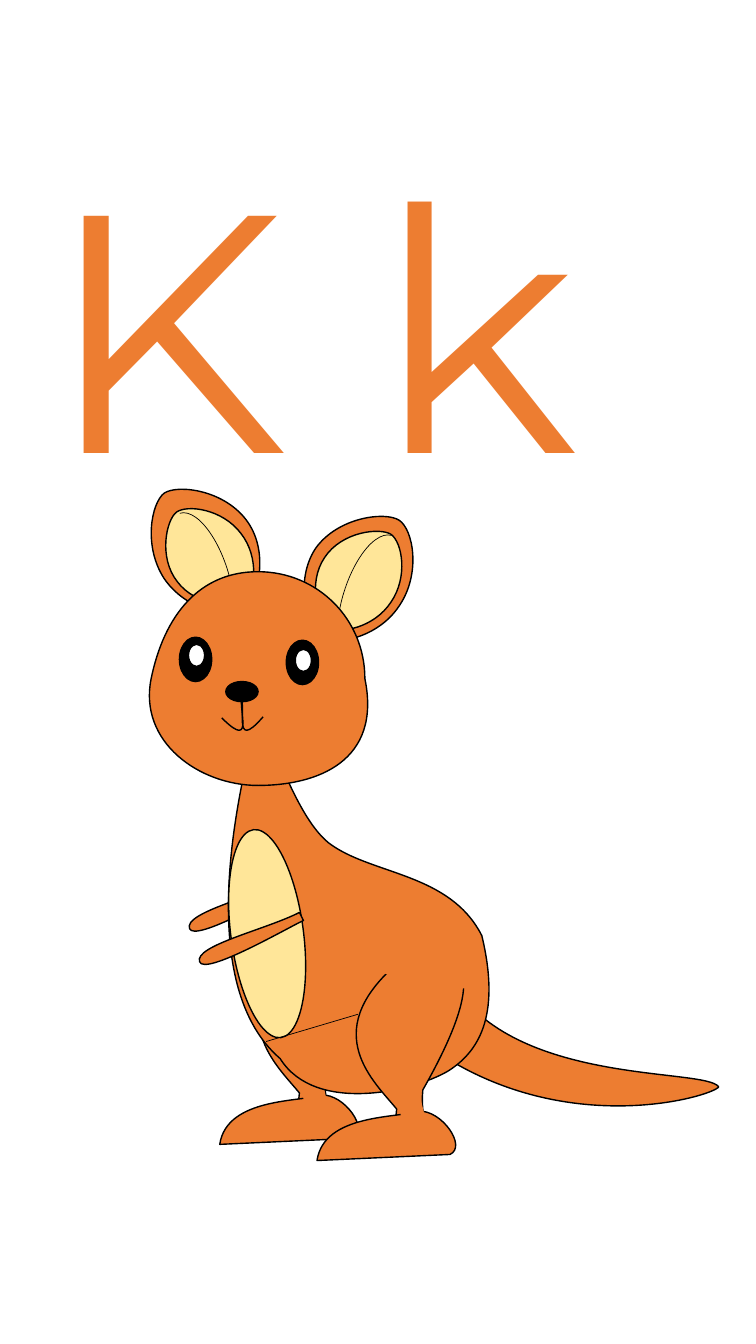
from dataclasses import dataclass
from math import cos, radians, sin

from lxml.etree import SubElement
from pptx import Presentation
from pptx.dml.color import RGBColor
from pptx.enum.shapes import MSO_CONNECTOR, MSO_SHAPE
from pptx.enum.text import MSO_AUTO_SIZE
from pptx.oxml.ns import qn
from pptx.util import Inches, Pt

ORANGE, CREAM, BLACK, WHITE = "ED7D31", "FFE699", "000000", "FFFFFF"
CURVE_STEPS = 40

RIGHT_EAR = [(296, 201), (318, 169, 310, 125, 296, 116), (282, 107, 235, 113, 213, 144),
             (192, 176, 204, 222, 218, 232), (232, 241, 275, 233, 296, 201)]
RIGHT_INNER_EAR = [(288, 197), (305, 172, 299, 138, 288, 130), (277, 123, 239, 127, 222, 153),
                   (205, 178, 215, 214, 226, 222), (237, 229, 271, 223, 288, 197)]
LEFT_EAR = [(63, 174), (42, 142, 50, 99, 63, 89), (77, 80, 124, 86, 146, 118),
            (168, 150, 155, 196, 141, 205), (128, 214, 85, 206, 63, 174)]
LEFT_INNER_EAR = [(139, 129), (121, 105, 86, 100, 75, 108), (65, 116, 57, 153, 76, 177),
                  (94, 201, 132, 204, 142, 196), (153, 188, 158, 153, 139, 129)]
HEAD = [(50, 273), (63, 210, 98, 167, 156, 167), (215, 167, 262, 214, 262, 273),
        (279, 355, 215, 379, 156, 379), (98, 379, 37, 336, 50, 273)]
MOUTH_RIGHT = [(138, 290), (146, 297, 129, 348, 161, 311)]
MOUTH_LEFT = [(141, 289), (134, 297, 155, 347, 120, 312)]
ARM = [(187, 472), (191, 480), (174, 488, 93, 535, 88, 521), (82, 505, 154, 489, 187, 472)]
TAIL = [(352, 580), (418, 677, 600, 659, 613, 678), (608, 687, 455, 734, 320, 634), (352, 580)]
BODY = [(345, 662), (312, 682, 213, 706, 178, 650), (86, 571, 144, 360, 152, 324),
        (160, 288, 185, 403, 226, 436), (268, 468, 346, 465, 378, 528),
        (396, 603, 378, 641, 345, 662)]
HIP_PATCH = [(379, 538), (285, 530, 291, 556, 277, 561), (274, 568, 345, 584, 362, 580),
             (379, 538)]
LEG = [(195, 542), (241, 532), (277, 538, 269, 584, 223, 665), (220, 695, 232, 708, 224, 718),
       (221, 714, 197, 729, 193, 725), (197, 684), (175, 657, 120, 609, 195, 542)]
FOOT = [(118, 735), (125, 688, 200, 693, 219, 686), (242, 685, 267, 721, 250, 729), (118, 735)]
ANKLE_PATCH = [(217, 662), (193, 673, 203, 694, 202, 701), (203, 707, 224, 708, 227, 702),
               (217, 662)]


def color(hex_code):
    """Turn a hex string into a colour."""
    return RGBColor.from_string(hex_code)


def turn(x, y, angle):
    """Turn a point clockwise about the grid's corner."""
    c, s = cos(radians(angle)), sin(radians(angle))
    return x * c - y * s, x * s + y * c


def curve_bounds(segments):
    """Measure the box that the drawn line fills."""
    points = list(segments[0])
    for segment in segments[1:]:
        if len(segment) == 1:
            points += segment
            continue
        curve = (points[-1], *segment)
        for step in range(1, CURVE_STEPS + 1):
            t = step / CURVE_STEPS
            weights = ((1 - t) ** 3, 3 * t * (1 - t) ** 2, 3 * t * t * (1 - t), t ** 3)
            points.append(tuple(sum(w * point[axis] for w, point in zip(weights, curve))
                                for axis in (0, 1)))
    columns, rows = zip(*points)
    return min(columns), min(rows), max(columns), max(rows)


@dataclass
class Canvas:
    """A box on the slide, divided into columns and rows."""
    slide: object
    left: int
    top: int
    width: int
    height: int
    columns: int = 650
    rows: int = 750

    def point(self, column, row):
        """Give the slide position of a grid point."""
        return (round(self.left + self.width * column / self.columns),
                round(self.top + self.height * row / self.rows))

    def style(self, shape, fill, line, weight=1):
        """Set fill and line, with None for neither."""
        shape.shadow.inherit = False
        if fill:
            shape.fill.solid()
            shape.fill.fore_color.rgb = color(fill)
        else:
            shape.fill.background()
        if line:
            shape.line.color.rgb = color(line)
            shape.line.width = Pt(weight)
        else:
            shape.line.fill.background()

    def outline(self, segments, fill=ORANGE, line=BLACK, rotation=0, shift=(0, 0)):
        """Draw lines and cubic curves in a turned box; without a fill they stay open."""
        upright = [[turn(x + shift[0], y + shift[1], -rotation)
                    for x, y in zip(segment[::2], segment[1::2])] for segment in segments]
        left, top, right, bottom = curve_bounds(upright)
        center = (left + right) / 2, (top + bottom) / 2
        turned = turn(*center, rotation)
        move = turned[0] - center[0], turned[1] - center[1]
        corner = self.point(left + move[0], top + move[1])
        builder = self.slide.shapes.build_freeform(*corner)
        builder.add_line_segments([self.point(right + move[0], bottom + move[1])], close=False)
        shape = builder.convert_to_shape()
        path = next(shape._element.iter(qn("a:path")))
        for child in list(path):
            path.remove(child)
        for index, segment in enumerate(upright):
            tag = "a:cubicBezTo" if len(segment) == 3 else "a:lnTo" if index else "a:moveTo"
            command = SubElement(path, qn(tag))
            for x, y in segment:
                column, row = self.point(x + move[0], y + move[1])
                SubElement(command, qn("a:pt"), x=str(column - corner[0]), y=str(row - corner[1]))
        if fill:
            SubElement(path, qn("a:close"))
        shape.rotation = rotation
        self.style(shape, fill, line)

    def preset(self, kind, column, row, columns, rows, fill, rotation=0, weight=1):
        """Draw a preset shape on the grid."""
        left, top = self.point(column, row)
        right, bottom = self.point(column + columns, row + rows)
        shape = self.slide.shapes.add_shape(kind, left, top, right - left, bottom - top)
        shape.rotation = rotation
        self.style(shape, fill, BLACK, weight)
        return shape


def draw_ear(canvas, outer, inner, turns, crease, crease_turn, flipped=False):
    """Draw an ear with its lining and crease."""
    canvas.outline(outer, rotation=turns[0])
    canvas.outline(inner, CREAM, rotation=turns[1])
    arc = canvas.preset(MSO_SHAPE.ARC, *crease, 57, 135, None, crease_turn, 0.5)
    arc.adjustments[0], arc.adjustments[1] = 162, 29.983
    if flipped:
        arc._element.spPr.find(qn("a:xfrm")).set("flipH", "1")


def draw_leg(canvas, shift=(0, 0)):
    """Draw a leg and its foot."""
    canvas.outline(LEG, shift=shift)
    canvas.outline(FOOT, shift=shift)


def draw_ankle(canvas, shift=(0, 0)):
    """Cover the line between leg and foot."""
    canvas.outline(ANKLE_PATCH, line=None, rotation=250.4, shift=shift)


def draw_belly(canvas):
    """Draw the belly and the crease below it."""
    canvas.preset(MSO_SHAPE.OVAL, 129, 422, 72, 208, CREAM, 352.5)
    crease = canvas.slide.shapes.add_connector(
        MSO_CONNECTOR.STRAIGHT, *canvas.point(164, 633), *canvas.point(255, 606))
    crease.line.color.rgb = color(BLACK)
    crease.line.width = Pt(0.5)
    SubElement(crease._element.spPr, qn("a:effectLst"))


def draw_face(canvas):
    """Draw the eyes, nose and mouth."""
    for column, row in ((184, 235), (78, 232)):
        canvas.preset(MSO_SHAPE.OVAL, column, row, 32, 44, BLACK)
    for column, row in ((87, 239), (193, 244)):
        canvas.preset(MSO_SHAPE.OVAL, column, row, 16, 22, WHITE)
    canvas.preset(MSO_SHAPE.OVAL, 124, 276, 32, 20, BLACK)
    canvas.outline(MOUTH_RIGHT, None, rotation=354.8)
    canvas.outline(MOUTH_LEFT, None)


def draw_kangaroo(canvas):
    """Draw the kangaroo from back to front."""
    draw_ear(canvas, RIGHT_EAR, RIGHT_INNER_EAR, (34, 34), (240, 128), 17.3, True)
    canvas.outline(ARM, rotation=63.6)
    draw_ear(canvas, LEFT_EAR, LEFT_INNER_EAR, (326, 322.7), (70, 106), 342.7)
    canvas.outline(TAIL, rotation=30.5)
    draw_leg(canvas)
    draw_ankle(canvas)
    canvas.outline(BODY, rotation=330.3)
    draw_leg(canvas, (96.5, 16))
    draw_belly(canvas)
    canvas.outline(HEAD)
    canvas.outline(HIP_PATCH, line=None, rotation=276.3)
    draw_face(canvas)
    draw_ankle(canvas, (96, 11))
    canvas.outline(ARM, rotation=63.6, shift=(10, 33))


def add_letters(slide, left, top, width, height):
    """Write the capital and small letter."""
    frame = slide.shapes.add_textbox(left, top, width, height).text_frame
    frame.word_wrap = True
    frame.auto_size = MSO_AUTO_SIZE.SHAPE_TO_FIT_TEXT
    paragraph = frame.paragraphs[0]
    paragraph.text = "K k"
    paragraph.font.name = "Montserrat"
    paragraph.font.size = Pt(242)
    paragraph.font.color.rgb = color(ORANGE)


def main():
    """Build and save the alphabet card."""
    presentation = Presentation()
    presentation.slide_width, presentation.slide_height = Inches(7.5), Inches(13.33)
    slide = presentation.slides.add_slide(presentation.slide_layouts[6])
    add_letters(slide, Inches(0.35), Inches(1.09), Inches(7.93), Inches(4.17))
    draw_kangaroo(Canvas(slide, Inches(1), Inches(4), Inches(6.5), Inches(7.5)))
    presentation.save("out.pptx")


if __name__ == "__main__":
    main()
